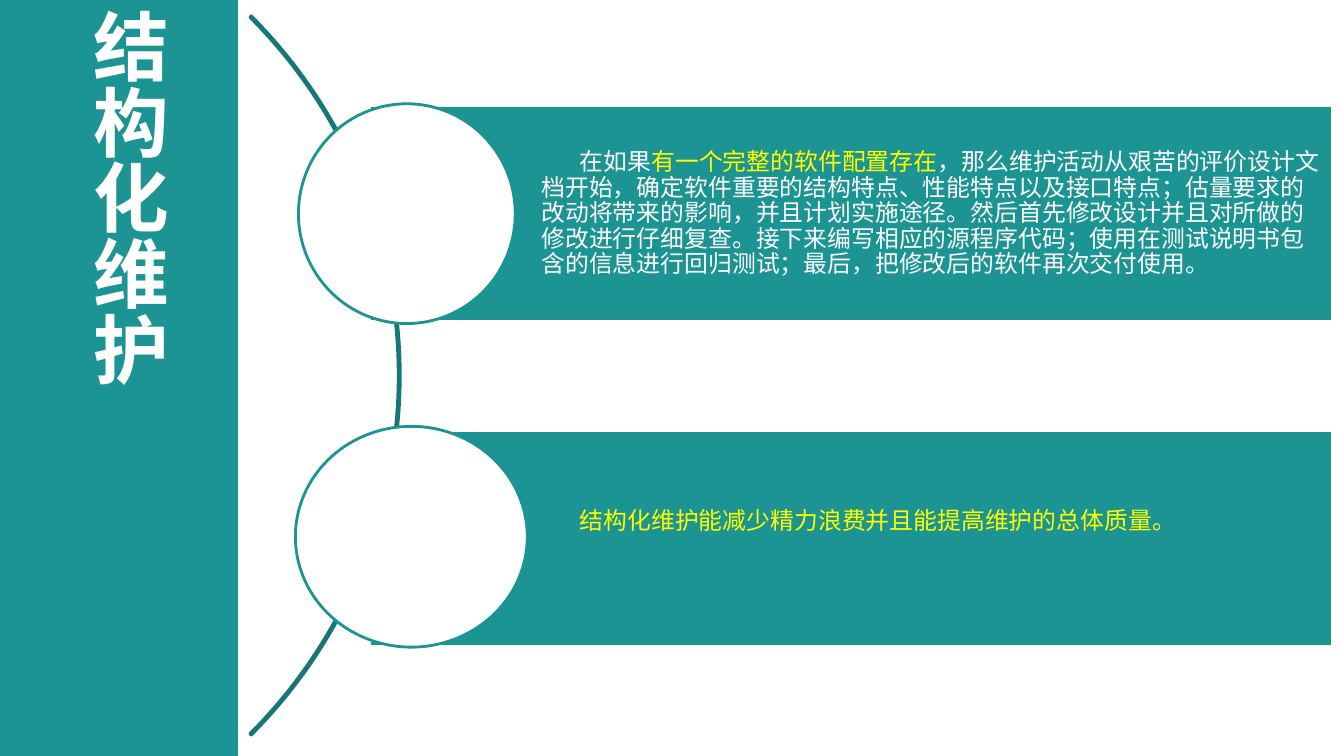
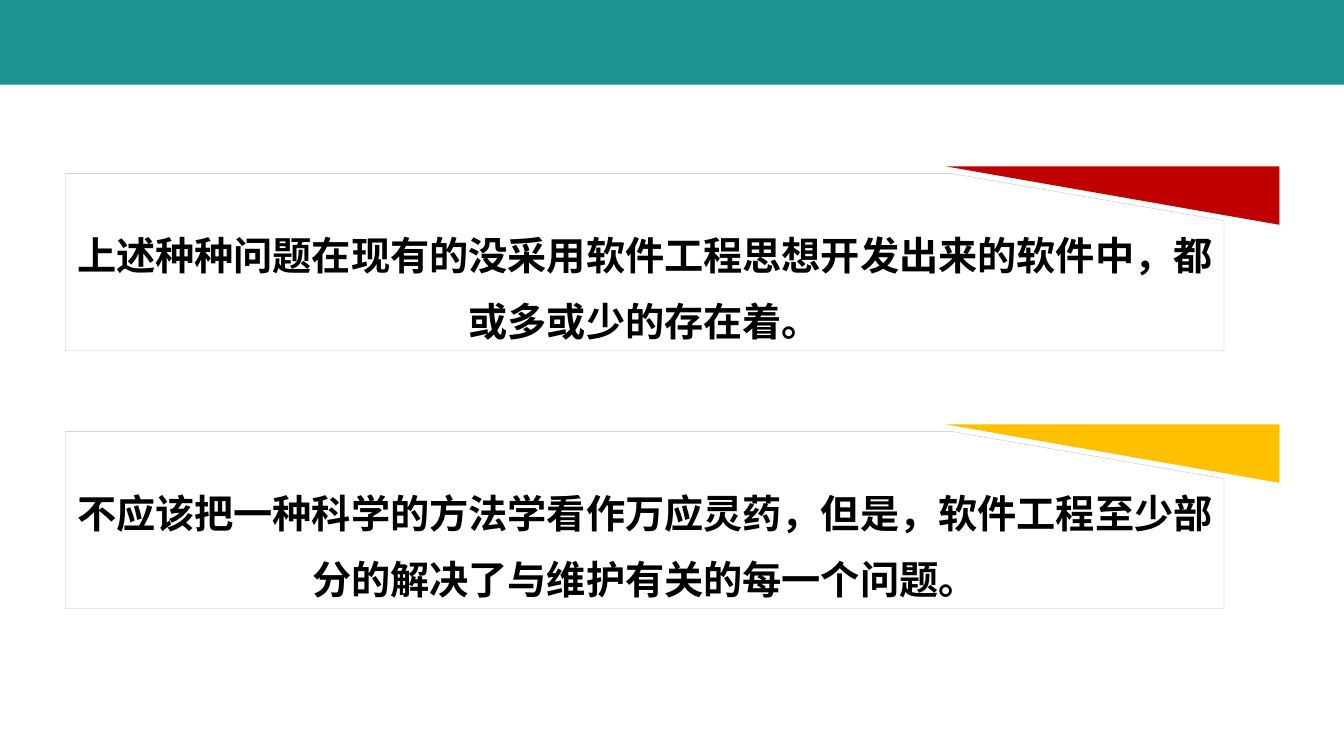
from dataclasses import dataclass

from lxml.etree import SubElement
from pptx import Presentation
from pptx.dml.color import RGBColor
from pptx.enum.shapes import MSO_SHAPE as Shape
from pptx.enum.text import MSO_ANCHOR as Anchor, MSO_AUTO_SIZE as AutoSize, PP_ALIGN as Align
from pptx.oxml.ns import qn
from pptx.util import Inches, Pt

WIDTH, HEIGHT = 13.33, 7.5
FONT = "Noto Sans CJK SC"
COLORS = {
    "teal": "1C9494", "arc": "167777", "white": "FFFFFF", "black": "000000",
    "yellow": "FFFF00", "edge": "BFBFBF", "red": "C00000", "amber": "FFC000",
}


@dataclass(frozen=True)
class Band:
    """A teal band; runs are (text, colour) pairs, circle is left, top, width, height."""
    top: float
    circle: tuple[float, float, float, float]
    runs: tuple[tuple[str, str], ...]
    bottom_inset: float = 0.05


@dataclass(frozen=True)
class Card:
    accent: str
    lines: tuple[str, ...]


BANDS = (
    Band(1.05, (2.96, 1.03, 2.15, 2.18), (
        ("在如果", "white"),
        ("有一个完整的软件配置存在", "yellow"),
        ("，那么维护活动从艰苦的评价设计文档开始，确定软件重要的结构特点、性能特点以及接口特点；"
         "估量要求的改动将带来的影响，并且计划实施途径。然后首先修改设计并且对所做的修改进行仔细复查。"
         "接下来编写相应的源程序代码；使用在测试说明书包含的信息进行回归测试；"
         "最后，把修改后的软件再次交付使用。", "white"),
    )),
    Band(4.27, (2.93, 4.23, 2.3, 2.19), (
        ("结构化维护能减少精力浪费并且能提高维护的总体质量。", "yellow"),
    ), bottom_inset=0.38),
)
CARDS = (
    Card("red", ("上述种种问题在现有的没采用软件工程思想开发出来的软件中，都",
                 "或多或少的存在着。")),
    Card("amber", ("不应该把一种科学的方法学看作万应灵药，但是，软件工程至少部",
                   "分的解决了与维护有关的每一个问题。")),
)
CARD_LEFT, CARD_TOP, CARD_PITCH, CARD_WIDTH = 0.65, 1.72, 2.56, 11.49


def rgb(name: str) -> RGBColor:
    return RGBColor.from_string(COLORS[name])


def paint(sp, fill: str, line: str | None = None, weight: float = 2) -> None:
    sp.shadow.inherit = False
    sp.fill.solid()
    sp.fill.fore_color.rgb = rgb(fill)
    if line:
        sp.line.color.rgb = rgb(line)
        sp.line.width = Pt(weight)
    else:
        sp.line.fill.background()


def add_preset(s, kind, box, fill: str, line: str | None = None):
    sp = s.shapes.add_shape(kind, *map(Inches, box))
    paint(sp, fill, line)
    return sp


def add_outline(s, points, fill: str, line: str | None = None) -> None:
    start, *rest = [(Inches(x), Inches(y)) for x, y in points]
    builder = s.shapes.build_freeform(*start, scale=1.0)
    builder.add_line_segments(rest, close=True)
    paint(builder.convert_to_shape(), fill, line, weight=0.25)


def write(p, text: str, *, size: float, color: str, bold: bool = False) -> None:
    r = p.add_run()
    r.text = text
    r.font.size, r.font.bold, r.font.name = Pt(size), bold, FONT
    r.font.color.rgb = rgb(color)
    SubElement(r._r.get_or_add_rPr(), qn("a:ea")).set("typeface", FONT)


def set_frame(tf, *, insets: tuple[float, float, float, float], anchor=Anchor.TOP) -> None:
    tf.word_wrap = True
    tf.auto_size = AutoSize.NONE
    tf.vertical_anchor = anchor
    tf.margin_left, tf.margin_top, tf.margin_right, tf.margin_bottom = map(Inches, insets)


def add_vertical_title(s, text: str) -> None:
    title = s.shapes.title
    title.left, title.top, title.width, title.height = map(Inches, (0.76, 0.02, 1.04, 7.46))
    tf = title.text_frame
    set_frame(tf, insets=(0.07,) * 4, anchor=Anchor.MIDDLE)
    tf._txBody.bodyPr.set("vert", "eaVert")
    p = tf.paragraphs[0]
    p.alignment = Align.LEFT
    write(p, text, size=54, color="white", bold=True)
    # Bring the title in front of the side panel
    title.element.getparent().append(title.element)


def add_band(s, band: Band) -> None:
    sp = add_preset(s, Shape.RECTANGLE, (3.67, band.top, 9.55, 2.14), "teal", "white")
    set_frame(sp.text_frame, insets=(1.7, 0.05, 0.1, band.bottom_inset), anchor=Anchor.MIDDLE)
    p = sp.text_frame.paragraphs[0]
    p.alignment = Align.LEFT
    p.line_spacing = Pt(18.3)
    p._p.get_or_add_pPr().set("indent", str(Inches(0.38)))
    for text, color in band.runs:
        write(p, text, size=17, color=color)
    add_preset(s, Shape.OVAL, band.circle, "white", "teal")


def add_card(s, card: Card, top: float) -> None:
    left, right, bottom = CARD_LEFT, CARD_LEFT + CARD_WIDTH, top + 1.76
    add_outline(s, [(left, top), (9.43, top), (right, top + 0.47),
                    (right, bottom), (left, bottom)], "white", "edge")
    box = s.shapes.add_textbox(*map(Inches, (left, top + 0.58, CARD_WIDTH, 1.14)))
    tf = box.text_frame
    set_frame(tf, insets=(0.07,) * 4)
    for i, line in enumerate(card.lines):
        p = tf.add_paragraph() if i else tf.paragraphs[0]
        p.alignment = Align.CENTER
        p.line_spacing = Pt(28)
        p.space_before = Pt(19 if i else 0)
        write(p, line, size=28, color="black", bold=True)
    # Folded corner
    fold = top - 0.07
    add_outline(s, [(12.69, fold), (9.38, fold), (12.69, fold + 0.58)], card.accent)


def build_structured_slide(prs) -> None:
    s = prs.slides.add_slide(prs.slide_layouts.get_by_name("Title Only"))
    add_preset(s, Shape.RECTANGLE, (0, 0, 2.36, HEIGHT), "teal")
    add_vertical_title(s, "结构化维护")
    arc = add_preset(s, Shape.BLOCK_ARC, (-6.12, -1.32, 10.09, 10.09), "arc", "arc")
    # Sweep from 315 to 45 degrees, as a thin ring
    for i, value in enumerate((189, 27, 0.002)):
        arc.adjustments[i] = value
    for band in BANDS:
        add_band(s, band)


def build_cards_slide(prs) -> None:
    s = prs.slides.add_slide(prs.slide_layouts.get_by_name("Blank"))
    add_preset(s, Shape.RECTANGLE, (0, 0, WIDTH, 0.84), "teal")
    for i, card in enumerate(CARDS):
        add_card(s, card, CARD_TOP + i * CARD_PITCH)


def main() -> None:
    prs = Presentation()
    prs.slide_width, prs.slide_height = Inches(WIDTH), Inches(HEIGHT)
    build_structured_slide(prs)
    build_cards_slide(prs)
    prs.save("out.pptx")


if __name__ == "__main__":
    main()
